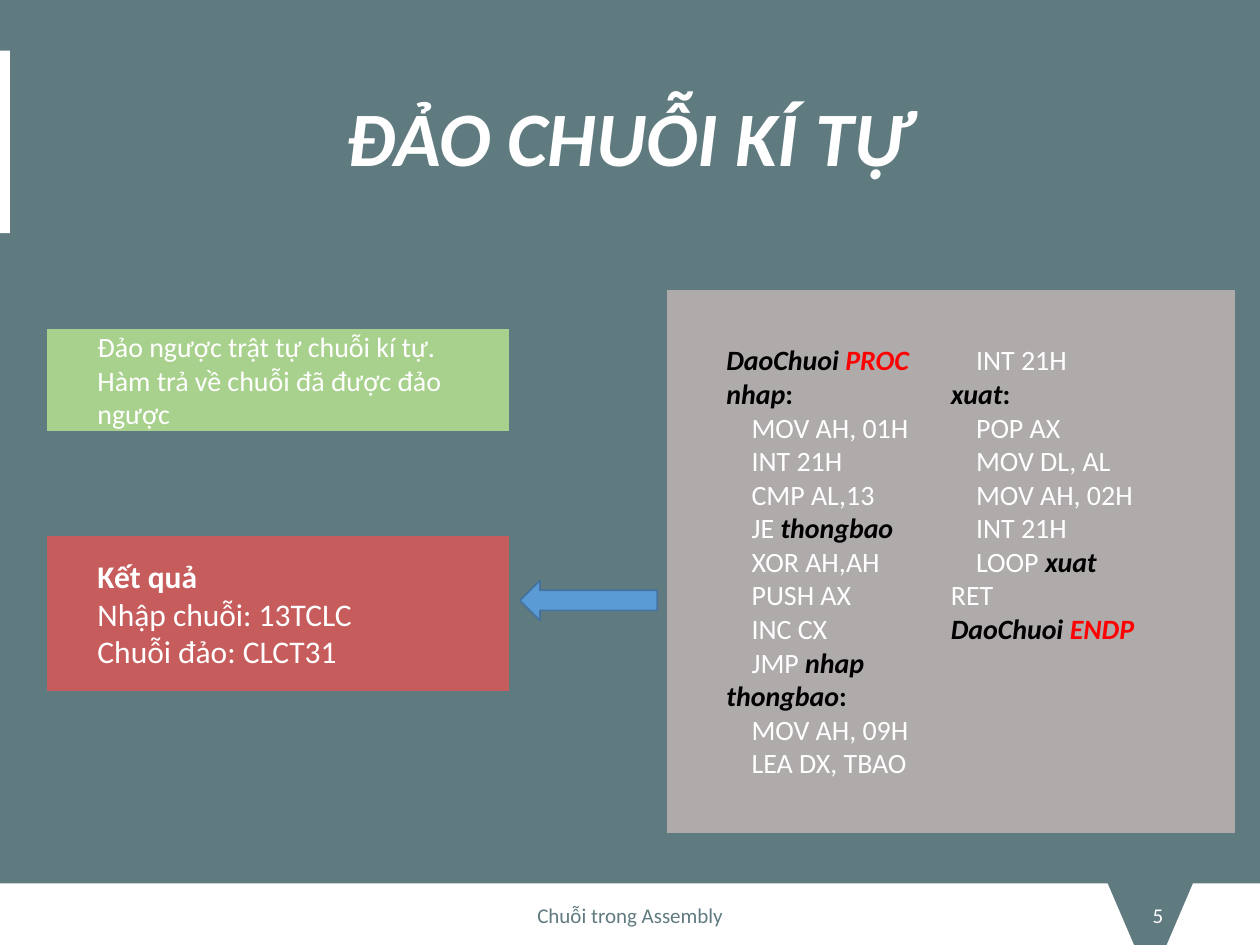
from pptx import Presentation
from pptx.dml.color import RGBColor
from pptx.enum.shapes import MSO_SHAPE as Shape
from pptx.enum.text import MSO_ANCHOR as Anchor, MSO_AUTO_SIZE as Auto, PP_ALIGN as Align
from pptx.util import Cm, Pt

TEAL = RGBColor(0x60, 0x7B, 0x80)
WHITE = RGBColor(0xFF, 0xFF, 0xFF)
BLACK = RGBColor(0, 0, 0)
RED = RGBColor(0xFF, 0, 0)
ROSE = RGBColor(0xC7, 0x5C, 0x5C)
GREEN = RGBColor(0xA9, 0xD1, 0x8E)
GRAY = RGBColor(0xAF, 0xAB, 0xAB)
BLUE = RGBColor(0x5B, 0x9B, 0xD5)
NAVY = RGBColor(0x43, 0x73, 0x9E)

# Run styles: colour, bold, italic
PLAIN = (WHITE, False, False)
HEAD = (WHITE, True, False)
TITLE = (WHITE, True, True)
FOOT = (TEAL, False, False)
NAME = (BLACK, True, True)
COLON = (BLACK, True, False)
KEY = (RED, True, True)


def write(frame, lines, size, align=Align.LEFT):
    frame.word_wrap = True
    frame.auto_size = Auto.NONE
    frame.vertical_anchor = Anchor.MIDDLE
    for i, line in enumerate(lines):
        para = frame.add_paragraph() if i else frame.paragraphs[0]
        para.alignment = align
        for text, (color, bold, italic) in line:
            run = para.add_run()
            run.text = text
            font = run.font
            font.name, font.size = "Calibri", Pt(size)
            font.bold, font.italic = bold, italic
            font.color.rgb = color


def draw(kind, box, fill):
    shape = slide.shapes.add_shape(kind, *map(Cm, box))
    shape.shadow.inherit = False
    shape.fill.solid()
    shape.fill.fore_color.rgb = fill
    shape.line.fill.background()
    if kind == Shape.PARALLELOGRAM:
        shape.adjustments[0] = 0
    return shape


deck = Presentation()
deck.slide_width, deck.slide_height = Cm(25.4), Cm(19.05)
slide = deck.slides.add_slide(deck.slide_layouts[5])
slide.background.fill.solid()
slide.background.fill.fore_color.rgb = TEAL

# Side bar
draw(Shape.RECTANGLE, (0, 1.02, 0.2, 3.68), WHITE)

# Footer band with a notch
top, base = Cm(17.81), Cm(19.05)
band = slide.shapes.build_freeform(Cm(24.05), top)
band.add_line_segments([(Cm(25.4), top), (Cm(25.4), base), (Cm(23.52), base)])
band.move_to(0, top)
band.add_line_segments([(Cm(22.33), top), (Cm(22.86), base), (0, base)])
foot = band.convert_to_shape()
foot.shadow.inherit = False
foot.fill.solid()
foot.fill.fore_color.rgb = WHITE
foot.line.fill.background()

# Title
title = slide.shapes.title
title.left, title.top, title.width, title.height = map(Cm, (1.75, 1.02, 21.9, 3.68))
write(title.text_frame, [[("ĐẢO CHUỖI KÍ TỰ", TITLE)]], 44, Align.CENTER)
title.text_frame.paragraphs[0].line_spacing = 0.9

# Footer text and page number
for left, width, text, style, align in [
    (7.04, 11.33, "Chuỗi trong Assembly", FOOT, Align.CENTER),
    (22.5, 1.2, "5", PLAIN, Align.RIGHT),
]:
    box = slide.shapes.add_textbox(Cm(left), Cm(17.93), Cm(width), Cm(1.02))
    write(box.text_frame, [[(text, style)]], 12, align)

# Result and task boxes
result = draw(Shape.PARALLELOGRAM, (0.94, 10.8, 9.32, 3.14), ROSE)
write(result.text_frame, [
    [("Kết quả", HEAD)],
    [("Nhập chuỗi: 13TCLC", PLAIN)],
    [("Chuỗi đảo: CLCT31", PLAIN)],
], 18)
task = draw(Shape.PARALLELOGRAM, (0.94, 6.63, 9.32, 2.06), GREEN)
write(task.text_frame, [
    [("Đảo ngược trật tự chuỗi kí tự.", PLAIN)],
    [("Hàm trả về chuỗi đã được đảo ngược", PLAIN)],
], 16)

# Arrow from code to result
arrow = draw(Shape.DOWN_ARROW, (11.46, 10.72, 0.81, 2.77), BLUE)
arrow.rotation = 90
arrow.line.color.rgb = NAVY
arrow.line.width = Pt(1)

# Code in two columns
code = draw(Shape.PARALLELOGRAM, (13.44, 5.84, 11.46, 10.95), GRAY)
write(code.text_frame, [
    [("DaoChuoi ", NAME), ("PROC", KEY)],
    [("nhap", NAME), (":", COLON)],
    [("    MOV AH, 01H", PLAIN)],
    [("    INT 21H", PLAIN)],
    [("    CMP AL,13", PLAIN)],
    [("    JE ", PLAIN), ("thongbao", NAME)],
    [("    XOR AH,AH", PLAIN)],
    [("    PUSH AX", PLAIN)],
    [("    INC CX", PLAIN)],
    [("    JMP ", PLAIN), ("nhap", NAME)],
    [("thongbao", NAME), (":", COLON)],
    [("    MOV AH, 09H", PLAIN)],
    [("    LEA DX, TBAO", PLAIN)],
    [("    INT 21H", PLAIN)],
    [("xuat", NAME), (":", COLON)],
    [("    POP AX", PLAIN)],
    [("    MOV DL, AL", PLAIN)],
    [("    MOV AH, 02H", PLAIN)],
    [("    INT 21H", PLAIN)],
    [("    LOOP ", PLAIN), ("xuat", NAME)],
    [("RET", PLAIN)],
    [("DaoChuoi ", NAME), ("ENDP", KEY)],
], 16)
code.text_frame._txBody.bodyPr.set("numCol", "2")

deck.save("out.pptx")
